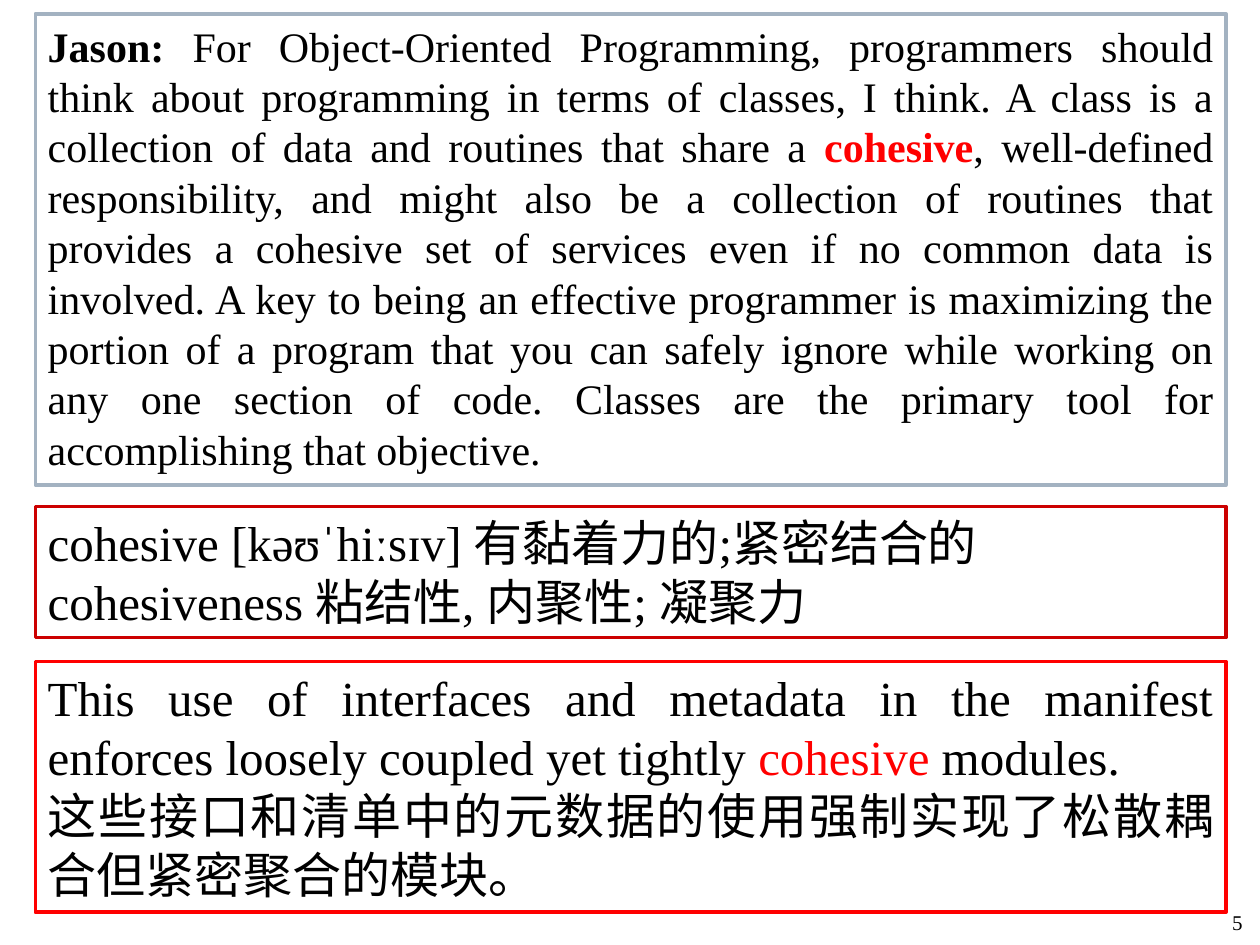
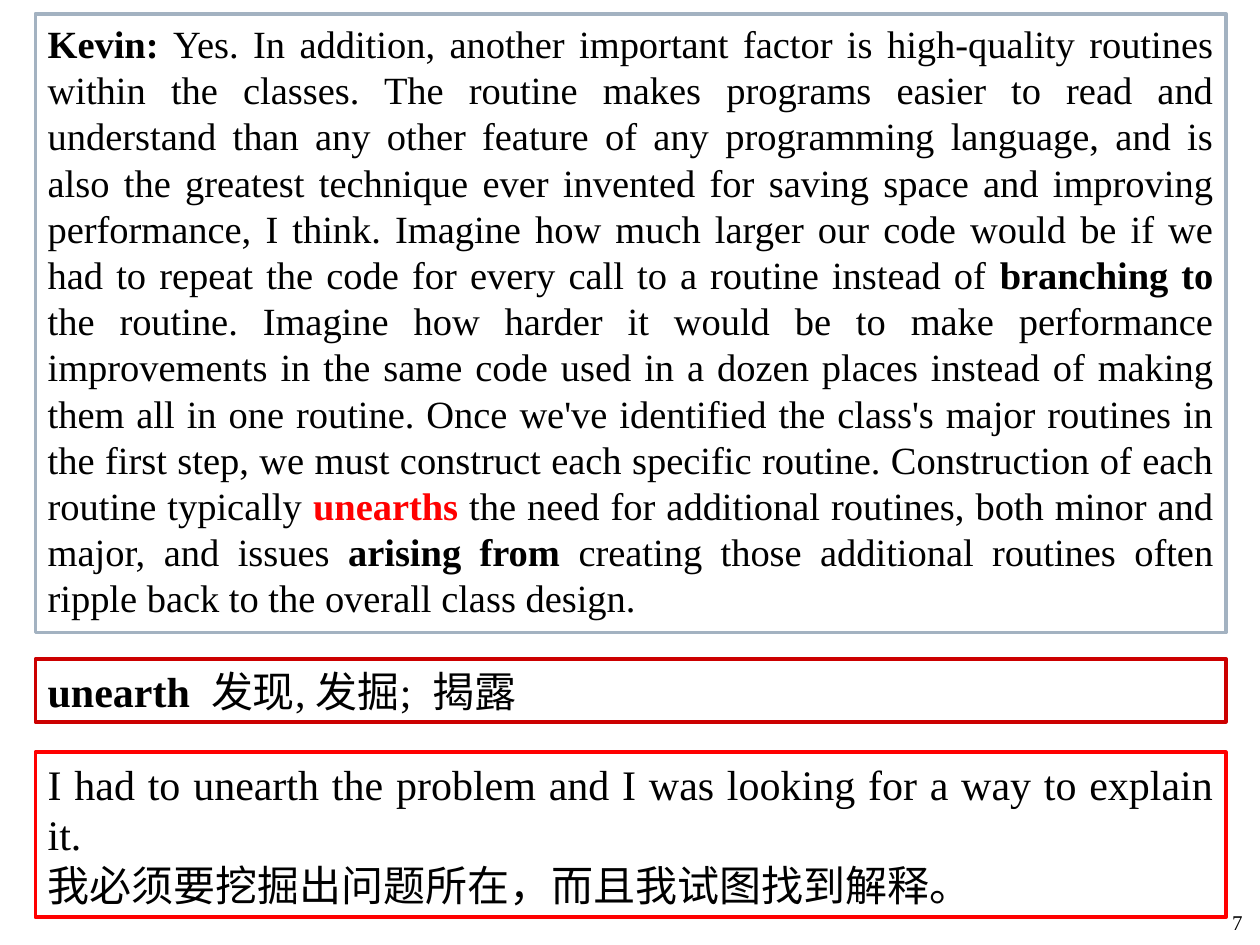
from pptx import Presentation
from pptx.dml.color import RGBColor
from pptx.enum.shapes import MSO_SHAPE
from pptx.enum.text import MSO_ANCHOR, MSO_AUTO_SIZE, PP_ALIGN
from pptx.util import Inches, Pt

BLACK = RGBColor(0x00, 0x00, 0x00)
WHITE = RGBColor(0xFF, 0xFF, 0xFF)
RED = RGBColor(0xFF, 0x00, 0x00)
DARK_RED = RGBColor(0xCC, 0x00, 0x00)
GREY_BLUE = RGBColor(0xA3, 0xB2, 0xC1)

PLAIN = (False, BLACK)
BOLD = (True, BLACK)
RED_PLAIN = (False, RED)
RED_BOLD = (True, RED)


class Deck:
    font = "Times New Roman"
    left, width = 0.28, 9.45

    def __init__(self):
        self.prs = Presentation()
        self.prs.slide_width = Inches(10)
        self.prs.slide_height = Inches(7.5)
        self.s = None

    def slide(self, number):
        self.s = self.prs.slides.add_slide(self.prs.slide_layouts[6])
        sp = self.s.shapes.add_textbox(Inches(9.37), Inches(6.9), Inches(0.59), Inches(0.57))
        tf = sp.text_frame
        tf.word_wrap = True
        tf.vertical_anchor = MSO_ANCHOR.BOTTOM
        self.add_runs(tf.paragraphs[0], [(str(number), PLAIN)], 12, PP_ALIGN.RIGHT)

    def add_runs(self, p, parts, size, align):
        p.alignment = align
        for text, (bold, color) in parts:
            r = p.add_run()
            r.text = text
            r.font.name = self.font
            r.font.size = Pt(size)
            r.font.bold = bold
            r.font.color.rgb = color

    def box(self, top, height, border, size, paragraphs, align=PP_ALIGN.JUSTIFY):
        sp = self.s.shapes.add_shape(MSO_SHAPE.RECTANGLE, Inches(self.left), Inches(top),
                                     Inches(self.width), Inches(height))
        sp.shadow.inherit = False
        sp.fill.solid()
        sp.fill.fore_color.rgb = WHITE
        sp.line.color.rgb = border
        sp.line.width = Pt(2)
        tf = sp.text_frame
        tf.word_wrap = True
        tf.auto_size = MSO_AUTO_SIZE.SHAPE_TO_FIT_TEXT
        tf.vertical_anchor = MSO_ANCHOR.TOP
        for i, parts in enumerate(paragraphs):
            p = tf.add_paragraph() if i else tf.paragraphs[0]
            self.add_runs(p, parts, size, align)

    def dialogue(self, top, height, size, parts):
        self.box(top, height, GREY_BLUE, size, [parts])

    def glossary(self, top, height, size, entries):
        self.box(top, height, DARK_RED, size, entries, PP_ALIGN.LEFT)

    def example(self, top, height, size, english, chinese):
        self.box(top, height, RED, size, [english, [(chinese, PLAIN)]])


def cohesive_slide(deck):
    deck.slide(5)
    deck.dialogue(0.11, 3.74, 24, [
        ("Jason: ", BOLD),
        ("For Object-Oriented Programming, programmers should think about programming in "
         "terms of classes, I think. A class is a collection of data and routines that "
         "share a ", PLAIN),
        ("cohesive", RED_BOLD),
        (", well-defined responsibility, and might also be a collection of routines that "
         "provides a cohesive set of services even if no common data is involved. A key to "
         "being an effective programmer is maximizing the portion of a program that you can "
         "safely ignore while working on any one section of code. Classes are the primary "
         "tool for accomplishing that objective.", PLAIN),
    ])
    deck.glossary(4.02, 1.04, 28, [
        [("cohesive [kəʊˈhiːsɪv] 有黏着力的;紧密结合的", PLAIN)],
        [("cohesiveness 粘结性, 内聚性; 凝聚力", PLAIN)],
    ])
    deck.example(5.25, 1.99, 28, [
        ("This use of interfaces and metadata in the manifest enforces loosely coupled yet "
         "tightly ", PLAIN),
        ("cohesive", RED_PLAIN),
        (" modules. ", PLAIN),
    ], "这些接口和清单中的元数据的使用强制实现了松散耦合但紧密聚合的模块。")


def unearth_slide(deck):
    deck.slide(7)
    deck.dialogue(0.11, 4.91, 22, [
        ("Kevin: ", BOLD),
        ("Yes. In addition, another important factor is high-quality routines within the "
         "classes. The routine makes programs easier to read and understand than any other "
         "feature of any programming language, and is also the greatest technique ever "
         "invented for saving space and improving performance, I think. Imagine how much "
         "larger our code would be if we had to repeat the code for every call to a routine "
         "instead of ", PLAIN),
        ("branching to", BOLD),
        (" the routine. Imagine how harder it would be to make performance improvements in "
         "the same code used in a dozen places instead of making them all in one routine. "
         "Once we've identified the class's major routines in the first step, we must "
         "construct each specific routine. Construction of each routine typically ", PLAIN),
        ("unearths", RED_BOLD),
        (" the need for additional routines, both minor and major, and issues ", PLAIN),
        ("arising from", BOLD),
        (" creating those additional routines often ripple back to the overall class "
         "design.", PLAIN),
    ])
    deck.glossary(5.23, 0.5, 24, [
        [("unearth  ", BOLD), ("发现, 发掘;  揭露", PLAIN)],
    ])
    deck.example(5.97, 1.31, 24, [
        ("I had to unearth the problem and I was looking for a way to explain it.", PLAIN),
    ], "我必须要挖掘出问题所在，而且我试图找到解释。")


def main():
    deck = Deck()
    cohesive_slide(deck)
    unearth_slide(deck)
    deck.prs.save("out.pptx")


if __name__ == "__main__":
    main()
